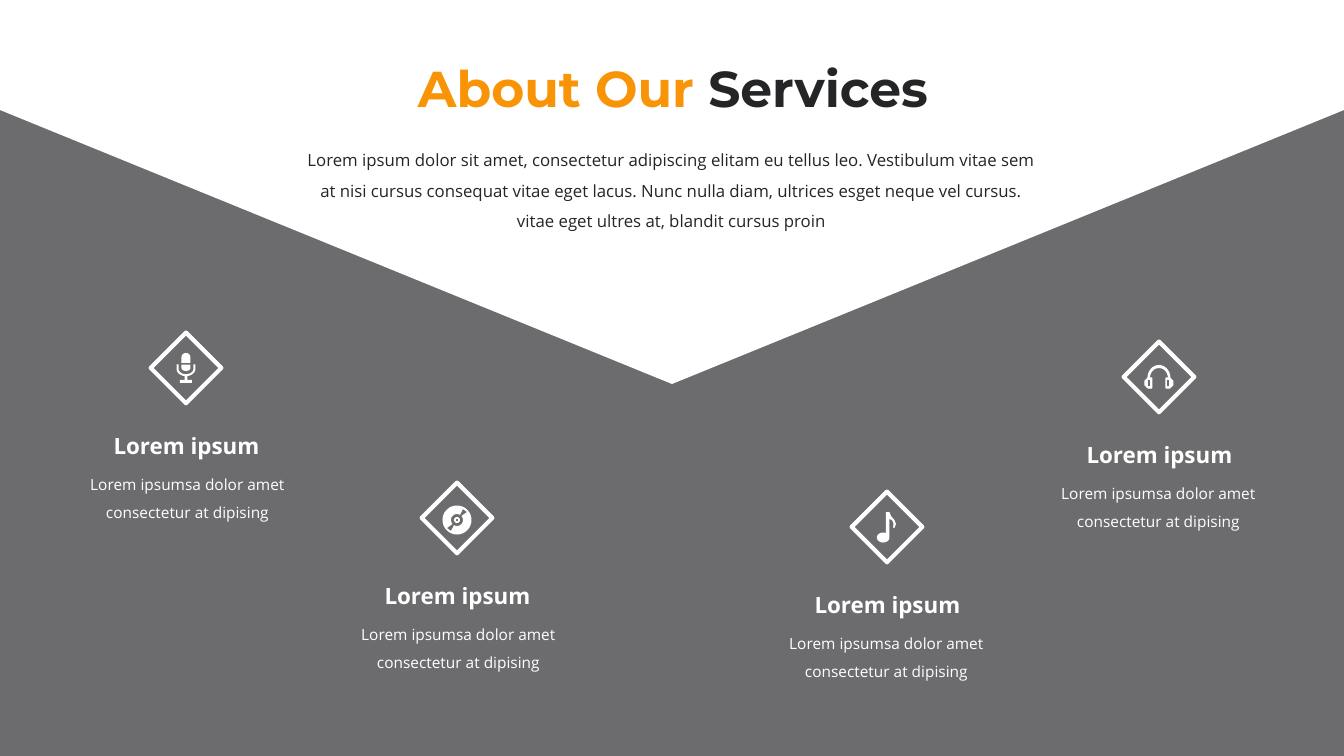
from math import cos, radians, sin

from lxml import etree
from pptx import Presentation
from pptx import util as u
from pptx.dml.color import RGBColor
from pptx.enum import shapes, text
from pptx.oxml import ns

PX = 914400 / 100.8
ICON_UNIT = PX / 10
WIDTH, HEIGHT = 1344, 756

WHITE = RGBColor(0xFF, 0xFF, 0xFF)
INK = RGBColor(0x24, 0x25, 0x27)
ORANGE = RGBColor(0xF8, 0x94, 0x06)


def px(*lengths):
    return [u.Emu(round(length * PX)) for length in lengths]


def add_text(slide, box, paragraphs, size, font="Open Sans", color=WHITE,
             bold=False, spacing=1.5):
    """Each paragraph is a list of (wording, colour or None) runs."""
    frame = slide.shapes.add_textbox(*px(*box)).text_frame
    frame.word_wrap = True
    frame.auto_size = text.MSO_AUTO_SIZE.SHAPE_TO_FIT_TEXT
    for i, runs in enumerate(paragraphs):
        paragraph = frame.add_paragraph() if i else frame.paragraphs[0]
        paragraph.alignment = text.PP_ALIGN.CENTER
        paragraph.line_spacing = spacing
        for wording, run_color in runs:
            run = paragraph.add_run()
            run.text = wording
            run.font.name = font
            run.font.size = u.Pt(size)
            run.font.bold = bold
            run.font.color.rgb = run_color or color


def paint(shape, fill=None, line=None, line_width=0.75, opacity=None):
    shape.shadow.inherit = False
    if fill is None:
        shape.fill.background()
    else:
        shape.fill.solid()
        shape.fill.fore_color.rgb = fill
        if opacity is not None:
            color = shape.fill._xPr.find(".//" + ns.qn("a:srgbClr"))
            etree.SubElement(color, ns.qn("a:alpha"), val=str(opacity * 1000))
    if line is None:
        shape.line.fill.background()
    else:
        shape.line.color.rgb = line
        shape.line.width = u.Pt(line_width)


def add_preset(slide, kind, box, rotation=0, **look):
    shape = slide.shapes.add_shape(kind, *px(*box))
    shape.rotation = rotation
    paint(shape, **look)


def arc(cx, cy, rx, ry, start, end):
    """Points along an ellipse, clockwise in degrees from the right."""
    steps = max(4, abs(end - start) // 10)
    angles = [radians(start + (end - start) * i / steps) for i in range(steps + 1)]
    return [(round(cx + rx * cos(a)), round(cy + ry * sin(a))) for a in angles]


def circle(cx, cy, radius):
    return arc(cx, cy, radius, radius, 0, 360)


def rectangle(left, top, right, bottom):
    return [(left, top), (right, top), (right, bottom), (left, bottom)]


def mirrored(outline):
    return [(-x, y) for x, y in outline]


# Icon outlines, in tenths of a px around the centre of the diamond
CUP = [(-110, 10), (-70, 10), (-70, 110), (-110, 110), (-140, 80), (-140, 40)]
CUP_SLOT = rectangle(-110, 20, -80, 100)

MICROPHONE = [
    [(-94, -35)] + arc(0, 10, 94, 72, 180, 0) + [(94, -35), (74, -35)]
    + arc(0, 10, 74, 52, 0, 180) + [(-74, -35)],
    rectangle(-14, 82, 14, 120),
    rectangle(-60, 120, 60, 150),
    arc(0, -105, 45, 45, 180, 360) + [(45, -50), (-45, -50)],
    [(-45, -32), (45, -32)] + arc(0, 0, 45, 30, 0, 180),
]
DISC = [
    circle(0, 20, 145),
    [(-100, 100), (-60, 130)] + arc(0, 20, 60, 60, 120, -42)
    + [(100, -60), (60, -90)] + arc(0, 20, 60, 60, -60, -222),
    circle(0, 20, 30),
    circle(0, 20, 12),
]
NOTE = [
    [(-10, -150), (25, -150), (40, -110), (75, -70), (90, -30), (75, 10),
     (62, 5), (65, -40), (50, -70), (25, -80)]
    + arc(-38, 105, 63, 50, 0, 300) + [(-10, 62)],
]
HEADPHONES = [
    arc(0, 10, 110, 125, 180, 360) + arc(0, 10, 95, 105, 360, 180),
    CUP, CUP_SLOT, mirrored(CUP), mirrored(CUP_SLOT),
]


def add_icon(slide, cx, cy, outlines, **look):
    builder = slide.shapes.build_freeform(*outlines[0][0], scale=ICON_UNIT)
    for i, outline in enumerate(outlines):
        if i:
            builder.move_to(*outline[0])
        builder.add_line_segments(outline[1:], close=True)
    paint(builder.convert_to_shape(*px(cx, cy)), fill=WHITE, **look)


def add_background(slide, width, height, band_height=110, arrow_height=274):
    kinds = shapes.MSO_SHAPE
    add_preset(slide, kinds.RECTANGLE, (0, 0, width, height), fill=INK, opacity=67)
    add_preset(slide, kinds.ISOSCELES_TRIANGLE,
               (0, band_height, width, arrow_height), rotation=180, fill=WHITE)
    add_preset(slide, kinds.RECTANGLE, (0, 0, width, band_height), fill=WHITE)


def add_heading(slide, left, top, width):
    add_text(slide, (left + 110, top, width - 217, 72),
             [[("About Our ", ORANGE), ("Services", INK)]],
             size=36, font="Montserrat", bold=True, spacing=1)
    intro = [
        "Lorem ipsum dolor sit amet, consectetur adipiscing elitam eu tellus leo. "
        "Vestibulum vitae sem at nisi cursus consequat vitae eget lacus. "
        "Nunc nulla diam, ultrices esget neque vel cursus.",
        "vitae eget ultres at, blandit cursus proin",
    ]
    add_text(slide, (left, top + 83, width, 102),
             [[(wording, None)] for wording in intro], size=12, color=INK)


def add_service(slide, cx, cy, icon, body_shift, **icon_look):
    """Place a diamond centred on (cx, cy), with its icon and texts."""
    side = 50
    add_preset(slide, shapes.MSO_SHAPE.RECTANGLE,
               (cx - side / 2, cy - side / 2, side, side),
               rotation=45, line=WHITE, line_width=3)
    add_icon(slide, cx, cy, icon, **icon_look)
    add_text(slide, (cx - 134, cy + 46, 269, 50), [[("Lorem ipsum", None)]],
             size=16, bold=True)
    add_text(slide, (cx - 134 + body_shift, cy + 93, 267, 67),
             [[("Lorem ipsumsa dolor amet consectetur at dipising", None)]], size=11)


def main():
    deck = Presentation()
    deck.slide_width, deck.slide_height = px(WIDTH, HEIGHT)
    slide = deck.slides.add_slide(deck.slide_layouts[6])
    add_background(slide, WIDTH, HEIGHT)
    add_heading(slide, 289, 52, 765)
    add_service(slide, 186, 368, MICROPHONE, body_shift=2)
    add_service(slide, 457, 518, DISC, body_shift=2)
    add_service(slide, 887, 527, NOTE, body_shift=0)
    add_service(slide, 1159, 377, HEADPHONES, body_shift=0, line=WHITE)
    deck.save("out.pptx")


if __name__ == "__main__":
    main()
